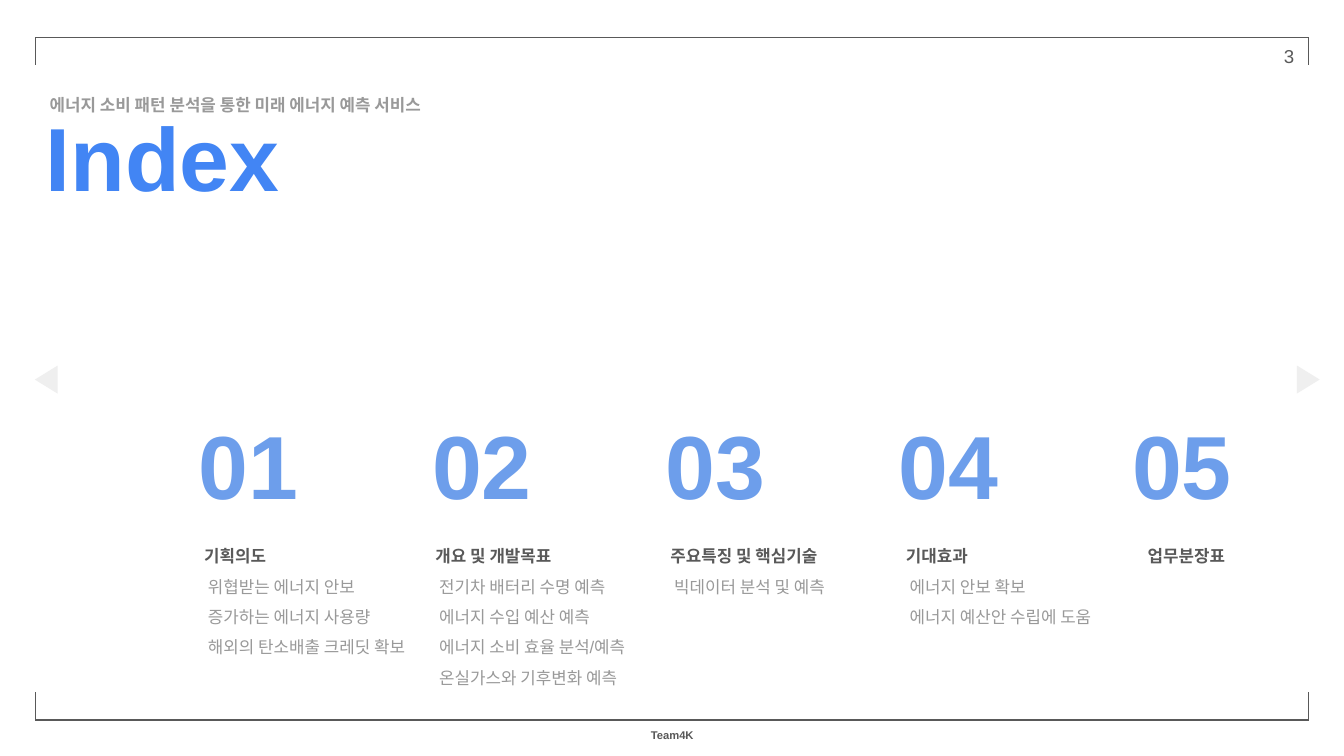
"""Build the index slide with five numbered sections."""
from dataclasses import dataclass

from lxml import etree
from pptx import Presentation, util as u
from pptx.dml.color import RGBColor
from pptx.enum import shapes, text
from pptx.oxml import ns


@dataclass(frozen=True)
class Theme:
    font: str = "Arial"
    title: str = "4285F4"
    number: str = "6D9EEB"
    dark: str = "595959"
    muted: str = "999999"
    arrow: str = "EFEFEF"
    display_size: int = 48
    body_size: int = 9
    page_size: int = 10
    footer_size: int = 6
    line_width: float = 0.75


THEME = Theme()
CENTER = text.PP_ALIGN.CENTER
MIDDLE = text.MSO_ANCHOR.MIDDLE
NUMBER_LEFT, NUMBER_STEP = 3.1, 4.41

SECTIONS = [
    (3.61, 4.72, "기획의도",
     ["위협받는 에너지 안보", "증가하는 에너지 사용량", "해외의 탄소배출 크레딧 확보"]),
    (7.98, 4.72, "개요 및 개발목표",
     ["전기차 배터리 수명 예측", "에너지 수입 예산 예측",
      "에너지 소비 효율 분석/예측", "온실가스와 기후변화 예측"]),
    (12.42, 4.29, "주요특징 및 핵심기술", ["빅데이터 분석 및 예측"]),
    (16.87, 4.62, "기대효과", ["에너지 안보 확보", "에너지 예산안 수립에 도움"]),
    (21.44, 4.29, "업무분장표", []),
]


def add_line(slide, start, end):
    connector = slide.shapes.add_connector(
        shapes.MSO_CONNECTOR.STRAIGHT, *map(u.Cm, start + end))
    connector.line.color.rgb = RGBColor.from_string(THEME.dark)
    connector.line.width = u.Pt(THEME.line_width)
    properties = connector._element.spPr
    etree.SubElement(properties, ns.qn("a:effectLst"))


def add_bracket(slide, edge, tick_end):
    left, right = 0.67, 24.73
    add_line(slide, (left, edge), (right, edge))
    for x in (left, right):
        add_line(slide, (x, edge), (x, tick_end))


def add_arrow(slide, left, rotation):
    shape = slide.shapes.add_shape(
        shapes.MSO_SHAPE.ISOSCELES_TRIANGLE,
        u.Cm(left), u.Cm(6.96), u.Cm(0.53), u.Cm(0.43))
    shape.rotation = rotation
    shape.shadow.inherit = False
    shape.fill.solid()
    shape.fill.fore_color.rgb = RGBColor.from_string(THEME.arrow)
    shape.line.fill.background()


def add_text(slide, box, lines, size, align=None, anchor=text.MSO_ANCHOR.TOP,
             spacing=None):
    """Add a text box whose lines are (words, colour, bold) tuples."""
    frame = slide.shapes.add_textbox(*map(u.Cm, box)).text_frame
    frame.word_wrap = True
    frame.vertical_anchor = anchor
    frame.margin_left = frame.margin_right = u.Cm(0.25)
    frame.margin_top = frame.margin_bottom = u.Cm(0.25)
    for index, (words, color, bold) in enumerate(lines):
        paragraph = frame.add_paragraph() if index else frame.paragraphs[0]
        paragraph.alignment = align
        paragraph.line_spacing = spacing
        run = paragraph.add_run()
        run.text = words
        run.font.name = THEME.font
        run.font.size = u.Pt(size)
        run.font.bold = bold
        run.font.color.rgb = RGBColor.from_string(color)


def add_section(slide, index, left, width, heading, topics):
    number_box = (NUMBER_LEFT + index * NUMBER_STEP, 7.82, 3.2, 1.88)
    add_text(slide, number_box, [(f"{index + 1:02}", THEME.number, True)],
             THEME.display_size, CENTER, MIDDLE)
    lines = [(heading, THEME.dark, True)]
    lines += [(f" {topic}", THEME.muted, False) for topic in topics]
    height = 3.4 if len(topics) > 3 else 2.84
    add_text(slide, (left, 9.88, width, height), lines,
             THEME.body_size, spacing=1.5)


def main():
    presentation = Presentation()
    presentation.slide_width, presentation.slide_height = u.Cm(25.4), u.Cm(14.29)
    slide = presentation.slides.add_slide(presentation.slide_layouts[6])

    add_bracket(slide, 0.71, 1.22)
    add_bracket(slide, 13.61, 13.08)
    add_arrow(slide, 24.46, 90)
    add_arrow(slide, 0.61, 270)

    add_text(slide, (-0.99, 2.01, 8.13, 1.88), [("Index", THEME.title, True)],
             THEME.display_size, CENTER, MIDDLE)
    subtitle = "에너지 소비 패턴 분석을 통한 미래 에너지 예측 서비스"
    add_text(slide, (0.69, 1.6, 8.43, 0.64), [(subtitle, THEME.muted, True)],
             THEME.body_size)
    for index, section in enumerate(SECTIONS):
        add_section(slide, index, *section)

    add_text(slide, (23.6, 0.51, 1.52, 1.09), [("3", THEME.dark, False)],
             THEME.page_size, CENTER, MIDDLE)
    add_text(slide, (11.56, 13.59, 2.29, 0.71), [("Team4K", THEME.dark, True)],
             THEME.footer_size, CENTER, spacing=1.15)
    presentation.save("out.pptx")


if __name__ == "__main__":
    main()
